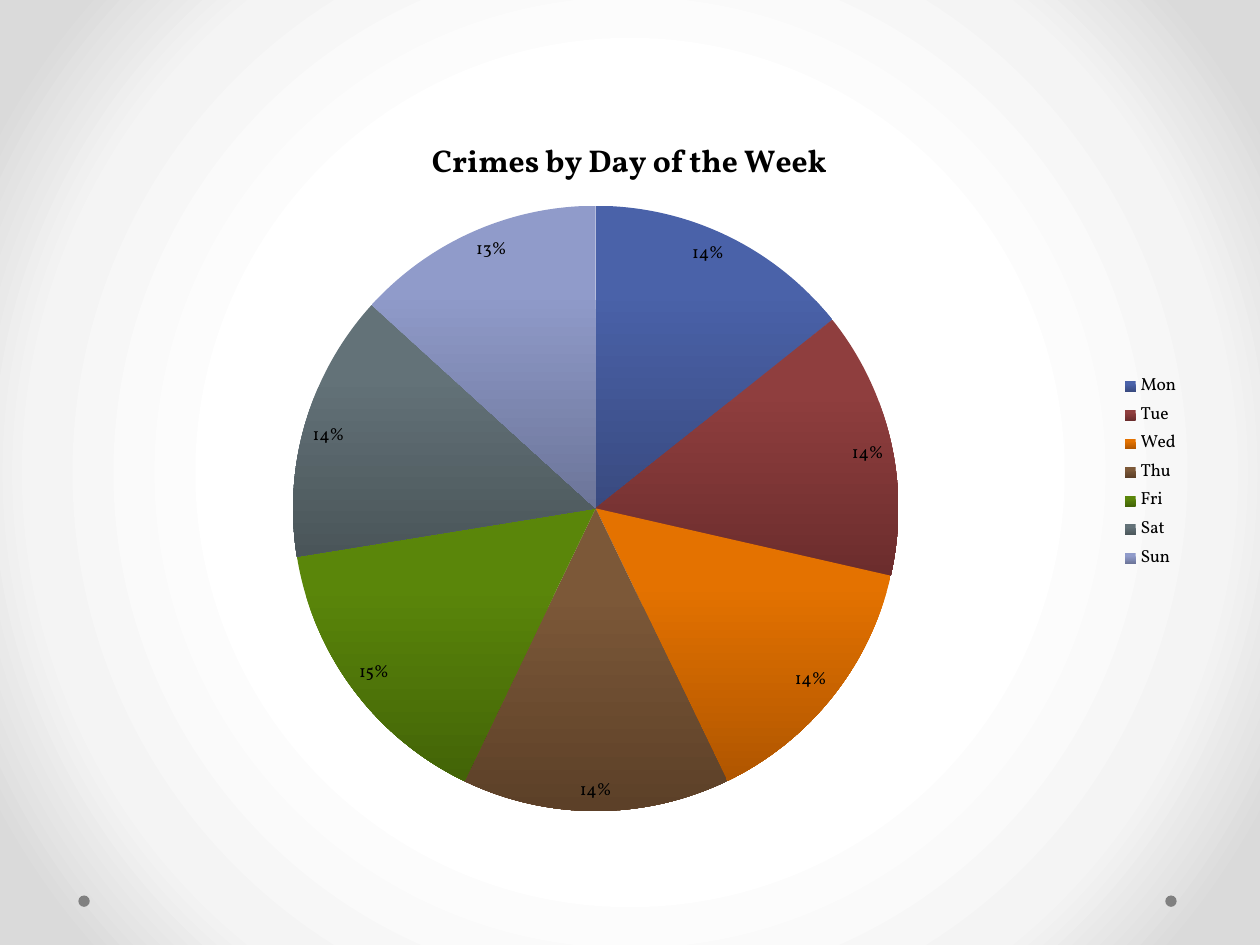
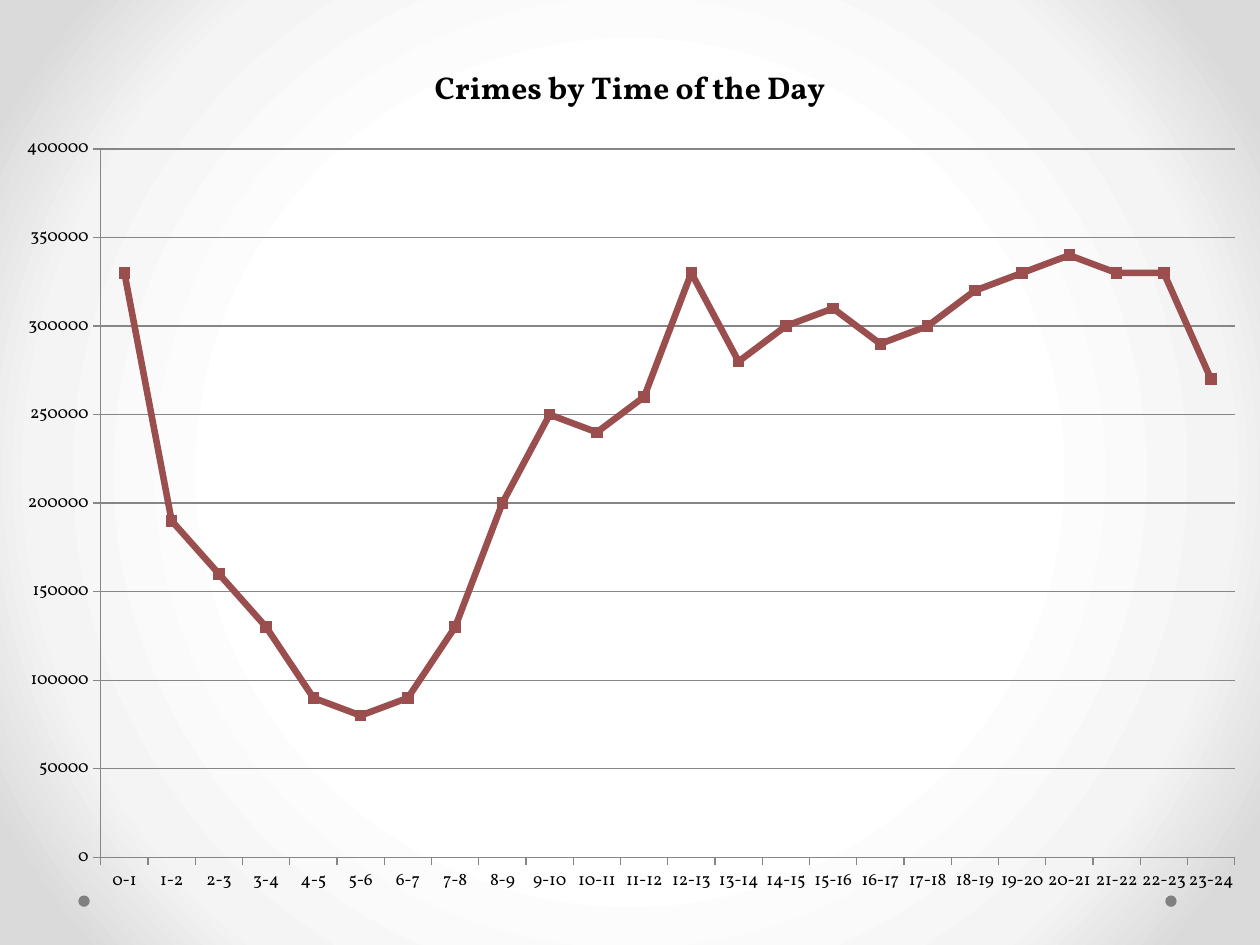
from dataclasses import dataclass

from lxml import etree
from pptx import Presentation
from pptx.chart.data import CategoryChartData
from pptx.dml.color import RGBColor
from pptx.enum.chart import (XL_CHART_TYPE, XL_LABEL_POSITION,
                             XL_LEGEND_POSITION, XL_MARKER_STYLE, XL_TICK_MARK)
from pptx.enum.shapes import MSO_SHAPE
from pptx.oxml import parse_xml
from pptx.oxml.ns import qn
from pptx.util import Pt

PIE, LINE = XL_CHART_TYPE.PIE, XL_CHART_TYPE.LINE_MARKERS
INSIDE_END = XL_LABEL_POSITION.INSIDE_END
RIGHT = XL_LEGEND_POSITION.RIGHT
SQUARE = XL_MARKER_STYLE.SQUARE
OUTSIDE = XL_TICK_MARK.OUTSIDE
ELLIPSE = MSO_SHAPE.OVAL

DAYS = {"Mon": 14, "Tue": 14, "Wed": 14, "Thu": 14, "Fri": 15, "Sat": 14, "Sun": 13}
HOURLY = [330000, 190000, 160000, 130000, 90000, 80000, 90000, 130000,
          200000, 250000, 240000, 260000, 330000, 280000, 300000, 310000,
          290000, 300000, 320000, 330000, 340000, 330000, 330000, 270000]
HOURS = {f"{h}-{h + 1}": count for h, count in enumerate(HOURLY)}


@dataclass(frozen=True)
class Theme:
    font: str = "Vollkorn"
    text: str = "000000"
    dot: str = "808080"
    rule: str = "868686"
    line: str = "9A4E4E"
    title_pt: float = 18
    body_pt: float = 10
    background: tuple = ((50, "FFFFFF"), (76, "F4F4F4"), (92, "DADADA"))
    slices: tuple = (("4A62A9", "394A80"), ("8F3E3E", "6C2D2D"),
                     ("E47200", "B05600"), ("7C5838", "5C4028"),
                     ("5A860A", "436407"), ("637278", "4A5559"),
                     ("909BCA", "6C7599"))


THEME = Theme()
SLIDE_W, SLIDE_H = 720, 540
DOT_SIZE, DOT_TOP, DOT_LEFTS = 6.5, 511.7, (44.8, 665.9)


def rgb(value):
    return RGBColor.from_string(value)


def set_background(master):
    fill = master.background.fill
    fill.gradient()
    old = master.element.find(".//" + qn("a:gradFill"))
    stops = "".join(f'<a:gs pos="{pos * 1000}"><a:srgbClr val="{color}"/></a:gs>'
                    for pos, color in THEME.background)
    new = parse_xml(
        '<a:gradFill xmlns:a="http://schemas.openxmlformats.org/drawingml/2006/main"'
        f' rotWithShape="1"><a:gsLst>{stops}</a:gsLst><a:path path="circle">'
        '<a:fillToRect l="50000" t="50000" r="50000" b="50000"/></a:path></a:gradFill>')
    old.getparent().replace(old, new)


def add_slide(prs):
    s = prs.slides.add_slide(prs.slide_layouts[6])
    for left in DOT_LEFTS:
        sp = s.shapes.add_shape(ELLIPSE, Pt(left), Pt(DOT_TOP), Pt(DOT_SIZE), Pt(DOT_SIZE))
        sp.shadow.inherit = False
        sp.fill.solid()
        sp.fill.fore_color.rgb = rgb(THEME.dot)
        sp.line.fill.background()
    return s


def set_plot_area(chart, box):
    area = chart._chartSpace.find(".//" + qn("c:plotArea"))
    for old in area.findall(qn("c:layout")):
        area.remove(old)
    layout = etree.Element(qn("c:layout"))
    manual = etree.SubElement(layout, qn("c:manualLayout"))
    settings = [("layoutTarget", "inner"), ("xMode", "edge"), ("yMode", "edge")]
    for tag, value in settings + list(zip("xywh", box)):
        etree.SubElement(manual, qn(f"c:{tag}")).set("val", str(value))
    area.insert(0, layout)


def add_chart(s, kind, title, values, frame, plot_box):
    data = CategoryChartData()
    data.categories = list(values)
    data.add_series("Series 1", list(values.values()))
    chart = s.shapes.add_chart(kind, *map(Pt, frame), data).chart
    chart.font.name = THEME.font
    chart.font.size = Pt(THEME.body_pt)
    chart.font.color.rgb = rgb(THEME.text)
    chart.has_title = True
    p = chart.chart_title.text_frame.paragraphs[0]
    p.text = title
    p.font.name = THEME.font
    p.font.size = Pt(THEME.title_pt)
    p.font.bold = True
    p.font.color.rgb = rgb(THEME.text)
    chart.has_legend = False
    set_plot_area(chart, plot_box)
    return chart


def add_day_pie(prs):
    chart = add_chart(add_slide(prs), PIE, "Crimes by Day of the Week", DAYS,
                      (38.2, 64.1, 643, 411.8), (0.2, 0.13, 0.54, 0.84))
    chart.has_legend = True
    chart.legend.position = RIGHT
    chart.legend.include_in_layout = False
    plot = chart.plots[0]
    plot.vary_by_categories = True
    plot.has_data_labels = True
    labels = plot.data_labels
    labels.show_percentage = True
    labels.show_value = False
    labels.number_format = "0%"
    labels.number_format_is_linked = False
    labels.position = INSIDE_END
    for i, colors in enumerate(THEME.slices):
        fill = plot.series[0].points[i].format.fill
        fill.gradient()
        fill.gradient_angle = 270
        for stop, color, position in zip(fill.gradient_stops, colors, (0.28, 1)):
            stop.color.rgb = rgb(color)
            stop.position = position


def add_hour_line(prs):
    chart = add_chart(add_slide(prs), LINE, "Crimes by Time of the Day", HOURS,
                      (0, 20.2, 720, 499.7), (0.08, 0.13, 0.9, 0.81))
    value_axis = chart.value_axis
    value_axis.minimum_scale, value_axis.maximum_scale = 0, 400000
    value_axis.major_unit = 50000
    value_axis.has_major_gridlines = True
    value_axis.tick_labels.number_format = "0"
    value_axis.tick_labels.number_format_is_linked = False
    for axis in (chart.category_axis, value_axis):
        axis.major_tick_mark = OUTSIDE
    for part in (chart.category_axis, value_axis, value_axis.major_gridlines):
        part.format.line.color.rgb = rgb(THEME.rule)
        part.format.line.width = Pt(0.75)
    chart.plots[0].vary_by_categories = False
    series = chart.plots[0].series[0]
    series.smooth = False
    series.format.line.color.rgb = rgb(THEME.line)
    series.format.line.width = Pt(3.75)
    marker = series.marker
    marker.style = SQUARE
    marker.size = 6
    marker.format.fill.solid()
    marker.format.fill.fore_color.rgb = rgb(THEME.line)
    marker.format.line.color.rgb = rgb(THEME.line)


def main():
    prs = Presentation()
    prs.slide_width, prs.slide_height = Pt(SLIDE_W), Pt(SLIDE_H)
    set_background(prs.slide_master)
    add_day_pie(prs)
    add_hour_line(prs)
    prs.save("out.pptx")


if __name__ == "__main__":
    main()
